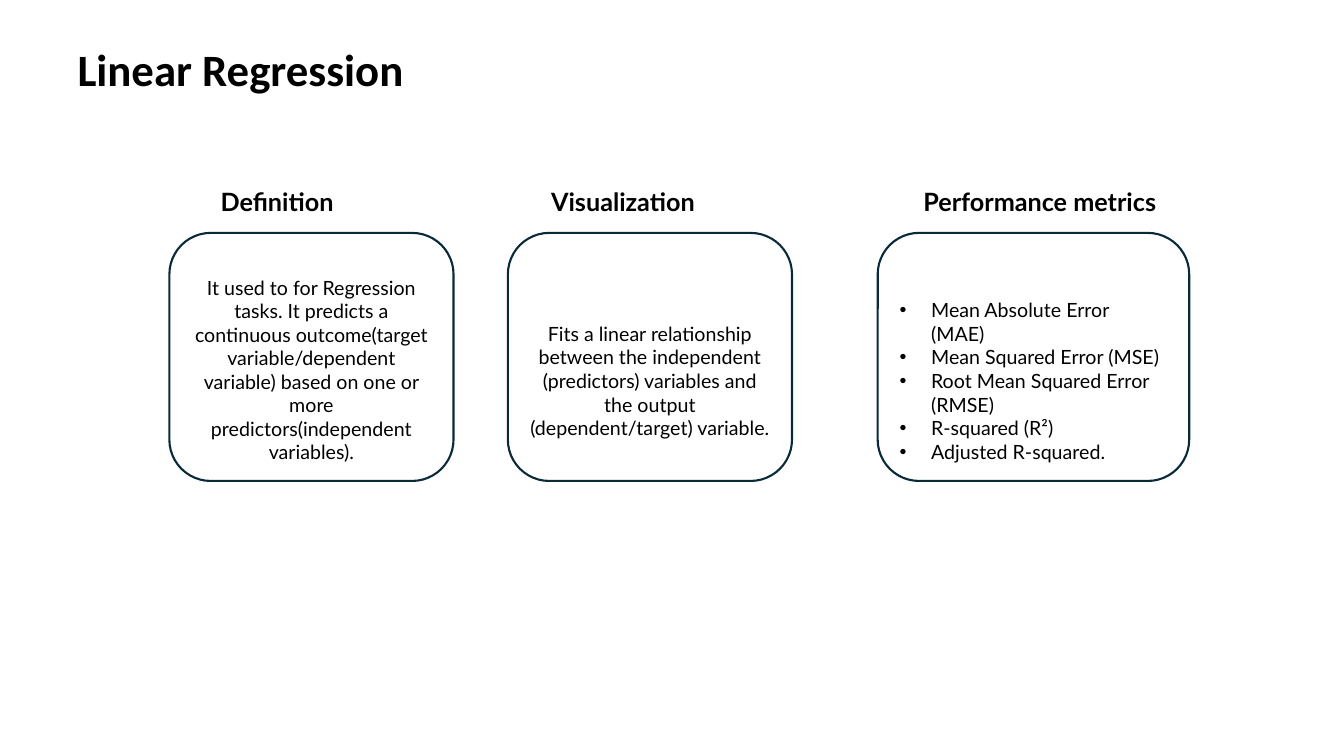
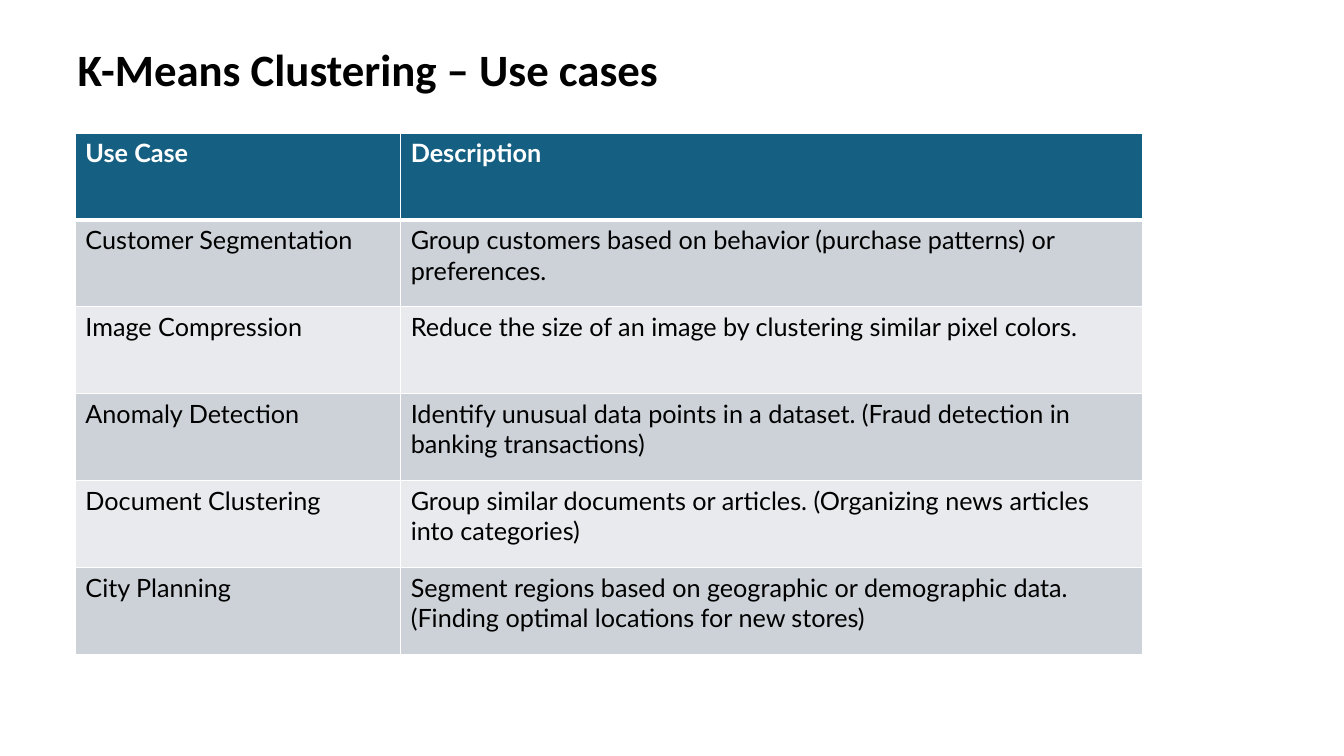
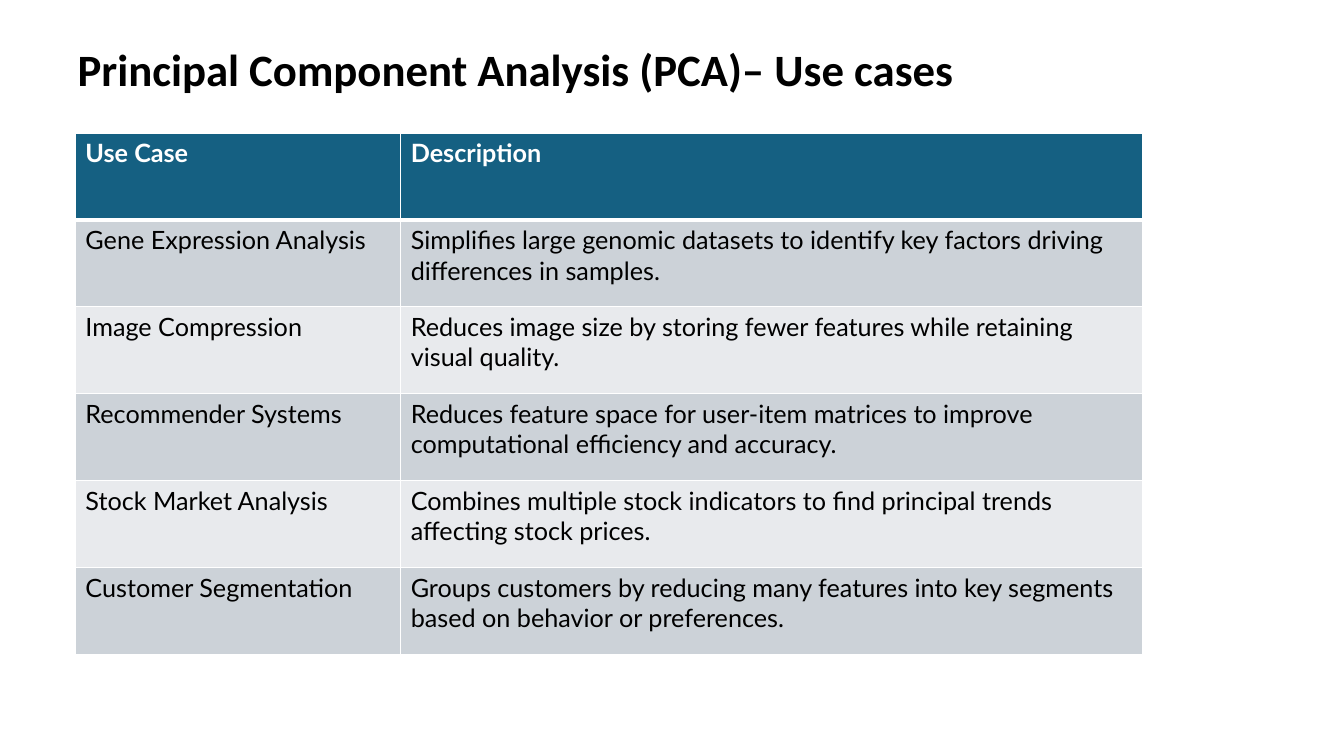
from lxml.etree import SubElement
from pptx import Presentation
from pptx.dml.color import RGBColor
from pptx.enum.shapes import MSO_SHAPE
from pptx.enum.text import MSO_ANCHOR, MSO_AUTO_SIZE, PP_ALIGN
from pptx.oxml.ns import qn
from pptx.util import Cm, Pt

COLORS = {
    "text": "000000",
    "white": "FFFFFF",
    "outline": "092A39",
    "header": "156082",
    "odd_row": "CCD2D8",
    "even_row": "E8EAED",
}
TITLE_FONT = "Calibri"
BODY_FONT = "Lato"
TITLE_ONLY_LAYOUT = 5

CARD_TOP, CARD_HEIGHT = 5.87, 6.25
HEADING_TOP, HEADING_HEIGHT = 4.57, 1.02
LOWERED = 1.32  # top inset that sets card text below the middle

TABLE_LEFT, TABLE_TOP = 1.9, 3.35
COLUMN_WIDTHS = (8.2, 18.7)
ROW_HEIGHT = 2.19


def color(name):
    return RGBColor.from_string(COLORS[name])


def add_bullet(paragraph, indent=0.79):
    properties = paragraph._p.get_or_add_pPr()
    properties.set("marL", str(Cm(indent)))
    properties.set("indent", str(-Cm(indent)))
    SubElement(properties, qn("a:buFont"), typeface="Arial")
    SubElement(properties, qn("a:buChar"), char="•")


def write(frame, text, size=18, font=BODY_FONT, bold=False, fill="text",
          align=PP_ALIGN.LEFT, bullets=False):
    """Write one paragraph per line of text into a text frame."""
    for index, line in enumerate(text.split("\n")):
        paragraph = frame.add_paragraph() if index else frame.paragraphs[0]
        paragraph.alignment = align
        if bullets:
            add_bullet(paragraph)
        run = paragraph.add_run()
        run.text = line
        run.font.size = Pt(size)
        run.font.name = font
        run.font.bold = bold
        run.font.color.rgb = color(fill)


def set_borders(cell, **widths):
    """Draw white cell borders, with widths in points by side: L, R, T, B."""
    properties = cell._tc.get_or_add_tcPr()
    for side, width in widths.items():
        line = SubElement(properties, qn(f"a:ln{side}"), w=str(Pt(width)))
        solid = SubElement(line, qn("a:solidFill"))
        SubElement(solid, qn("a:srgbClr"), val=COLORS["white"])


class Deck:
    def __init__(self):
        self.presentation = Presentation()
        self.presentation.slide_width = Cm(33.87)
        self.presentation.slide_height = Cm(19.05)
        self.slide = None

    def new_slide(self, title):
        layout = self.presentation.slide_layouts[TITLE_ONLY_LAYOUT]
        self.slide = self.presentation.slides.add_slide(layout)
        shape = self.slide.shapes.title
        shape.left, shape.top = Cm(1.7), Cm(0.84)
        shape.width, shape.height = Cm(30.48), Cm(1.78)
        frame = shape.text_frame
        frame.auto_size = MSO_AUTO_SIZE.NONE
        frame.vertical_anchor = MSO_ANCHOR.MIDDLE
        write(frame, title, size=32, font=TITLE_FONT, bold=True)

    def heading(self, text, left, width, align):
        box = self.slide.shapes.add_textbox(
            Cm(left), Cm(HEADING_TOP), Cm(width), Cm(HEADING_HEIGHT))
        box.text_frame.word_wrap = True
        write(box.text_frame, text, bold=True, align=align)

    def card(self, text, left, width, anchor=MSO_ANCHOR.MIDDLE,
             top_inset=LOWERED, **text_format):
        shape = self.slide.shapes.add_shape(
            MSO_SHAPE.ROUNDED_RECTANGLE,
            Cm(left), Cm(CARD_TOP), Cm(width), Cm(CARD_HEIGHT))
        shape.shadow.inherit = False
        shape.fill.solid()
        shape.fill.fore_color.rgb = color("white")
        shape.line.color.rgb = color("outline")
        shape.line.width = Pt(1.5)
        frame = shape.text_frame
        frame.word_wrap = True
        frame.vertical_anchor = anchor
        frame.margin_top = Cm(top_inset)
        write(frame, text, size=14, **text_format)

    def table(self, rows):
        table = self.slide.shapes.add_table(
            len(rows), len(COLUMN_WIDTHS), Cm(TABLE_LEFT), Cm(TABLE_TOP),
            Cm(sum(COLUMN_WIDTHS)), Cm(ROW_HEIGHT * len(rows))).table
        for column, width in zip(table.columns, COLUMN_WIDTHS):
            column.width = Cm(width)
        for row_index, texts in enumerate(rows):
            table.rows[row_index].height = Cm(ROW_HEIGHT)
            is_header = row_index == 0
            band = "odd_row" if row_index % 2 else "even_row"
            for column_index, text in enumerate(texts):
                cell = table.cell(row_index, column_index)
                set_borders(cell, L=1, R=1, T=3 if row_index == 1 else 1,
                            B=3 if is_header else 1)
                cell.fill.solid()
                cell.fill.fore_color.rgb = color("header" if is_header else band)
                write(cell.text_frame, text, bold=is_header,
                      fill="white" if is_header else "text")


def add_linear_regression(deck):
    deck.new_slide("Linear Regression")
    deck.card(
        "It used to for Regression tasks. It predicts a continuous "
        "outcome(target variable/dependent variable) based on one or more "
        "predictors(independent variables).",
        4.27, 7.16, anchor=MSO_ANCHOR.BOTTOM, top_inset=0.13,
        align=PP_ALIGN.CENTER)
    deck.card(
        "Fits a linear relationship between the independent (predictors) "
        "variables and the output (dependent/target) variable.",
        12.8, 7.16, align=PP_ALIGN.CENTER)
    deck.card(
        "Mean Absolute Error (MAE)\n"
        "Mean Squared Error (MSE)\n"
        "Root Mean Squared Error (RMSE)\n"
        "R-squared (R²)\n"
        "Adjusted R-squared.",
        22.12, 7.85, bullets=True)
    deck.heading("Definition", 5.31, 3.76, PP_ALIGN.LEFT)
    deck.heading("Visualization", 12.73, 5.94, PP_ALIGN.CENTER)
    deck.heading("Performance metrics", 22.51, 7.39, PP_ALIGN.CENTER)


USE_CASES = {
    "K-Means Clustering – Use cases": [
        ("Customer Segmentation",
         "Group customers based on behavior (purchase patterns) or preferences."),
        ("Image Compression",
         "Reduce the size of an image by clustering similar pixel colors."),
        ("Anomaly Detection",
         "Identify unusual data points in a dataset. "
         "(Fraud detection in banking transactions)"),
        ("Document Clustering",
         "Group similar documents or articles. "
         "(Organizing news articles into categories)"),
        ("City Planning",
         "Segment regions based on geographic or demographic data. "
         "(Finding optimal locations for new stores)"),
    ],
    "Principal Component Analysis (PCA)– Use cases": [
        ("Gene Expression Analysis",
         "Simplifies large genomic datasets to identify key factors driving "
         "differences in samples."),
        ("Image Compression",
         "Reduces image size by storing fewer features while retaining "
         "visual quality."),
        ("Recommender Systems",
         "Reduces feature space for user-item matrices to improve "
         "computational efficiency and accuracy."),
        ("Stock Market Analysis",
         "Combines multiple stock indicators to find principal trends "
         "affecting stock prices."),
        ("Customer Segmentation",
         "Groups customers by reducing many features into key segments "
         "based on behavior or preferences."),
    ],
}


def main():
    deck = Deck()
    add_linear_regression(deck)
    for title, rows in USE_CASES.items():
        deck.new_slide(title)
        deck.table([("Use Case", "Description"), *rows])
    deck.presentation.save("out.pptx")


if __name__ == "__main__":
    main()
